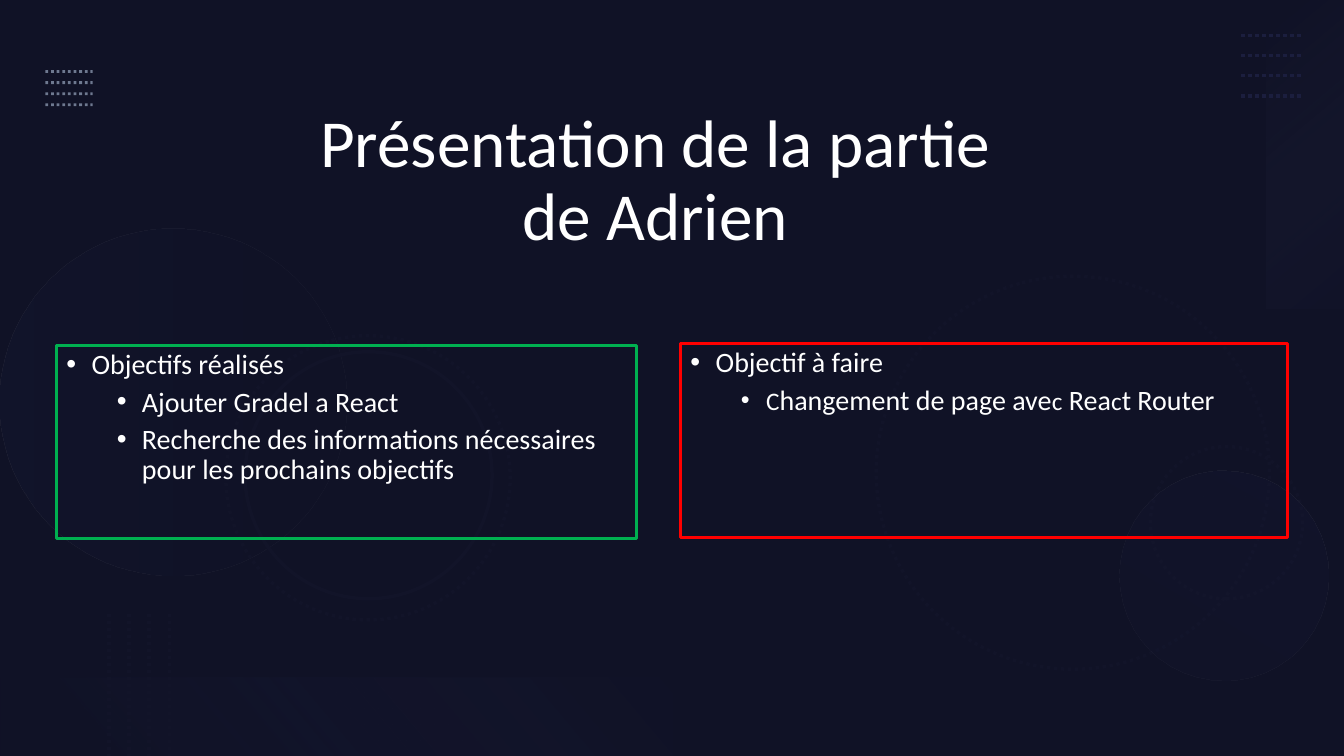
from itertools import cycle

from lxml import etree
from pptx import Presentation
from pptx.dml.color import RGBColor
from pptx.enum.dml import MSO_LINE
from pptx.enum.shapes import MSO_CONNECTOR, MSO_SHAPE
from pptx.enum.text import MSO_ANCHOR, PP_ALIGN
from pptx.oxml.ns import qn
from pptx.util import Inches, Pt

DOTS = MSO_LINE.ROUND_DOT
STRAIGHT = MSO_CONNECTOR.STRAIGHT
OVAL, RECTANGLE = MSO_SHAPE.OVAL, MSO_SHAPE.RECTANGLE
TOP, CENTER, LEFT = MSO_ANCHOR.TOP, PP_ALIGN.CENTER, PP_ALIGN.LEFT
COLUMNS, ROWS = 13.33, 7.5
FONT = "Calibri"
COLORS = {
    "navy": "242852", "black": "000000", "night": "121429", "dusk": "1B1E3E",
    "ice": "CDE0FB", "lilac": "9297CF", "indigo": "5C64B7",
    "white": "FFFFFF", "done": "00B050", "todo": "FF0000",
}


class SlideBuilder:
    """Draw styled elements on a slide whose grid cells are one inch square."""

    def __init__(self, deck):
        deck.slide_width, deck.slide_height = Inches(COLUMNS), Inches(ROWS)
        self.page = deck.slides.add_slide(deck.slide_layouts[6])

    def color(self, name):
        return RGBColor.from_string(COLORS[name])

    def set_alpha(self, element, *shares):
        for tint, share in zip(element.iter(qn("a:srgbClr")), shares):
            etree.SubElement(tint, qn("a:alpha"), val=str(share * 1000))

    def style_line(self, line, color, width, dash=None):
        line.color.rgb = self.color(color)
        line.width = Pt(width)
        if dash is not None:
            line.dash_style = dash

    def shape(self, kind, area, rotation=0):
        shape = self.page.shapes.add_shape(kind, *map(Inches, area))
        shape.shadow.inherit = False
        shape.rotation = rotation
        shape.fill.background()
        shape.line.fill.background()
        return shape

    def panel(self, color, alpha=100):
        panel = self.shape(RECTANGLE, (0, 0, COLUMNS, ROWS))
        panel.fill.solid()
        panel.fill.fore_color.rgb = self.color(color)
        self.set_alpha(panel.fill._xPr, alpha)

    def ring(self, left, top, size, rotation, dash=DOTS):
        ring = self.shape(OVAL, (left, top, size, size), rotation)
        self.style_line(ring.line, "night", 2.5, dash)

    def glow(self, kind, area, rotation, angle, stops):
        glow = self.shape(kind, area, rotation)
        glow.fill.gradient()
        glow.fill.gradient_angle = 360 - angle
        for stop, (position, color, alpha) in zip(glow.fill.gradient_stops, stops):
            stop.position = position / 100
            stop.color.rgb = self.color(color)
        self.set_alpha(glow.fill._xPr, *(stop[2] for stop in stops))

    def dotted_lines(self, start, end, step, color, width=2.5, alpha=100):
        for index in range(4):
            shift_x, shift_y = (index * size for size in step)
            line = self.page.shapes.add_connector(
                STRAIGHT,
                Inches(start[0] + shift_x), Inches(start[1] + shift_y),
                Inches(end[0] + shift_x), Inches(end[1] + shift_y))
            self.style_line(line.line, color, width, DOTS)
            properties = line._element.spPr
            self.set_alpha(properties, alpha)
            etree.SubElement(properties, qn("a:effectLst"))

    def text_box(self, area):
        box = self.page.shapes.add_textbox(*map(Inches, area))
        box.text_frame.word_wrap = True
        box.text_frame.vertical_anchor = TOP
        return box

    def format_para(self, para, sizes, align=LEFT):
        para.alignment = align
        para.line_spacing = 0.9
        for span, size in zip(para.runs, cycle(sizes)):
            span.font.name = FONT
            span.font.size = Pt(size)
            span.font.color.rgb = self.color("white")

    def title(self, area, text):
        box = self.text_box(area)
        box.text_frame.text = text
        self.format_para(box.text_frame.paragraphs[0], (48,), CENTER)

    def bullet(self, para, level):
        para.level = level
        para.space_before = Pt(5 if level else 10)
        properties = para._p.get_or_add_pPr()
        properties.set("marL", str(Inches(0.25 + 0.5 * level)))
        properties.set("indent", str(Inches(-0.25)))
        etree.SubElement(properties, qn("a:buFont"), typeface="Arial")
        etree.SubElement(properties, qn("a:buChar"), char="•")

    def goal_box(self, area, color, heading, goals):
        box = self.text_box(area)
        self.style_line(box.line, color, 2.25)
        frame = box.text_frame
        frame.text = heading
        self.format_para(frame.paragraphs[0], (20,))
        self.bullet(frame.paragraphs[0], 0)
        for pieces, sizes in goals:
            para = frame.add_paragraph()
            para.text = pieces[0]
            for piece in pieces[1:]:
                para.add_run().text = piece
            self.format_para(para, sizes)
            self.bullet(para, 1)


def main():
    deck = Presentation()
    slide = SlideBuilder(deck)

    slide.panel("navy")
    slide.panel("black", 53)
    slide.ring(8.69, 2.74, 3.9, 75)
    slide.ring(11.41, 4.43, 1.51, 270)
    slide.glow(OVAL, (0, 2.27, 3.44, 3.44), 270, 90,
               [(0, "dusk", 20), (100, "night", 10)])
    slide.glow(OVAL, (11.1, 4.67, 2.08, 2.08), 210, 90,
               [(0, "dusk", 10), (100, "dusk", 20)])
    slide.ring(2.24, 3.33, 2.82, 75)
    slide.ring(2.43, 3.49, 2.45, 75, None)

    slide.dotted_lines((0.45, 0.71), (0.92, 0.71), (0, 0.11), "ice", 2, 50)
    slide.glow(RECTANGLE, (11.42, 1.14, 3.06, 0.78), 270, 140,
               [(0, "lilac", 0), (100, "dusk", 10)])
    slide.dotted_lines((12.31, 0.35), (12.91, 0.35), (0, 0.2), "dusk")
    slide.glow(RECTANGLE, (0, 6.72, 6.67, 0.78), 180, 140,
               [(10, "night", 10), (100, "indigo", 0)])
    slide.dotted_lines((1.08, 6.09), (1.08, ROWS), (0.2, 0), "night")

    slide.title((2.81, 1.04, 7.38, 2.33), "Présentation de la partie de Adrien")
    slide.goal_box((0.56, 3.43, 5.75, 1.91), "done", "Objectifs réalisés", [
        (["Ajouter Gradel a React"], (20,)),
        (["Recherche des informations nécessaires\n"
          "pour les prochains objectifs"], (20,)),
    ])
    slide.goal_box((6.75, 3.41, 6.02, 1.92), "todo", "Objectif à faire", [
        (["C", "hangement de page ave", "c", " Rea", "c", "t Router"], (18, 20)),
    ])
    deck.save("out.pptx")


if __name__ == "__main__":
    main()
